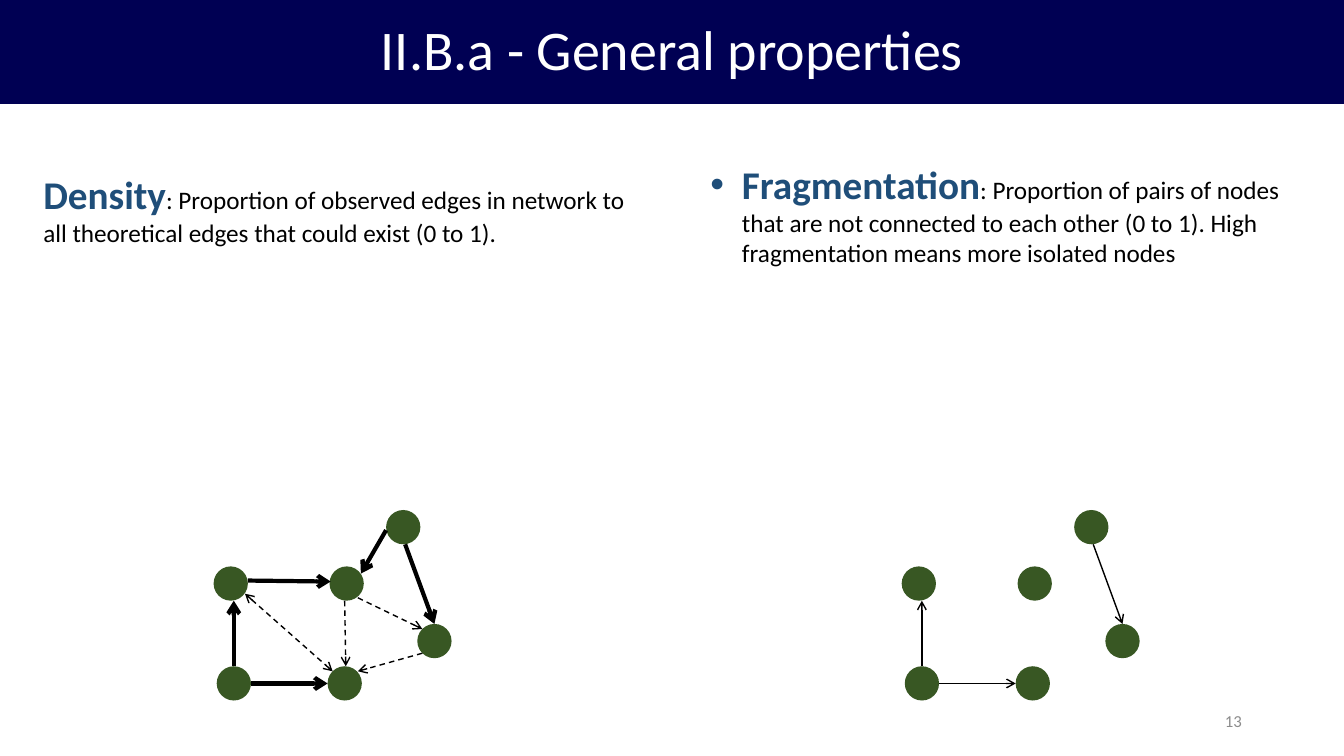
from lxml.etree import SubElement
from pptx import Presentation
from pptx.dml.color import RGBColor
from pptx.enum.dml import MSO_LINE
from pptx.enum.shapes import MSO_CONNECTOR, MSO_SHAPE
from pptx.enum.text import MSO_ANCHOR, MSO_AUTO_SIZE, PP_ALIGN
from pptx.oxml.ns import qn
from pptx.util import Pt

NAVY = RGBColor(0x00, 0x00, 0x53)
BLUE = RGBColor(0x1F, 0x4E, 0x79)
GREEN = RGBColor(0x38, 0x57, 0x23)
GRAY = RGBColor(0x8C, 0x8C, 0x8C)
BLACK = RGBColor(0x00, 0x00, 0x00)
WHITE = RGBColor(0xFF, 0xFF, 0xFF)

THICK, THIN = 3, 1
NODE_SIZE = 24.5
GRAPH_SHIFT = 491.5

# Left and top of each node in the left graph
NODES = [
    (234, 475.9), (235.4, 404.6), (152.6, 404.6),
    (154.8, 475.9), (298.1, 445.7), (275.8, 364.3),
]
# Start and end of each edge in the left graph; the arrow points at the end
EDGES_IN_BOTH = [
    ((167, 475.9), (167, 429.1)),
    ((179.3, 488.2), (234, 488.2)),
    ((289.4, 388.8), (310.3, 445.7)),
]
EDGES_ONLY_DENSE = [
    ((177.1, 414.7), (236.2, 415.4)),
    ((275.8, 378.7), (257.8, 409.7)),
]
MISSING_EDGES = [
    ((246.2, 429.1), (247, 475.9)),
    ((255.6, 427), (301.7, 449.3)),
    ((301.7, 466.6), (255.6, 479.5)),
]
MISSING_MUTUAL_EDGE = ((175, 424.1), (237.6, 479.5))


class SlideBuilder:
    font_name = "Calibri"

    def __init__(self, page):
        self.page = page

    def add_run(self, para, text, size, color, bold=False):
        span = para.add_run()
        span.text = text
        span.font.name = self.font_name
        span.font.size = Pt(size)
        span.font.bold = bold
        span.font.color.rgb = color

    def add_title(self, text, width, height):
        title = self.page.shapes.title
        title.left, title.top = Pt(0), Pt(0)
        title.width, title.height = Pt(width), Pt(height)
        title.fill.solid()
        title.fill.fore_color.rgb = NAVY
        frame = title.text_frame
        frame.auto_size = MSO_AUTO_SIZE.NONE
        frame.vertical_anchor = MSO_ANCHOR.MIDDLE
        para = frame.paragraphs[0]
        para.alignment = PP_ALIGN.CENTER
        para.line_spacing = 0.9
        self.add_run(para, text, 40, WHITE)

    def add_text_box(self, left, top, width, height):
        """Add an empty wrapping box and return its text frame."""
        box = self.page.shapes.add_textbox(Pt(left), Pt(top), Pt(width), Pt(height))
        box.text_frame.word_wrap = True
        return box.text_frame

    def add_definition(self, left, top, height, term, meaning, bullet=False):
        para = self.add_text_box(left, top, 435.6, height).paragraphs[0]
        if bullet:
            properties = para._p.get_or_add_pPr()
            properties.set("marL", str(Pt(22.5)))
            properties.set("indent", str(-Pt(22.5)))
            SubElement(properties, qn("a:buFont"), typeface="Arial")
            SubElement(properties, qn("a:buChar"), char="•")
        self.add_run(para, term, 28, BLUE, bold=True)
        self.add_run(para, meaning, 18, BLACK)

    def add_page_number(self, text):
        frame = self.add_text_box(678.2, 500.4, 216, 28.8)
        frame.vertical_anchor = MSO_ANCHOR.MIDDLE
        para = frame.paragraphs[0]
        para.alignment = PP_ALIGN.RIGHT
        self.add_run(para, text, 12, GRAY)

    def add_node(self, left, top):
        node = self.page.shapes.add_shape(
            MSO_SHAPE.OVAL, Pt(left), Pt(top), Pt(NODE_SIZE), Pt(NODE_SIZE))
        node.shadow.inherit = False
        node.fill.solid()
        node.fill.fore_color.rgb = GREEN
        node.line.fill.background()

    def add_edge(self, edge, shift, weight, dashed=False, mutual=False):
        (start_x, start_y), (end_x, end_y) = edge
        connector = self.page.shapes.add_connector(
            MSO_CONNECTOR.STRAIGHT,
            Pt(start_x + shift), Pt(start_y), Pt(end_x + shift), Pt(end_y))
        connector.line.width = Pt(weight)
        connector.line.color.rgb = BLACK
        if dashed:
            connector.line.dash_style = MSO_LINE.DASH
        outline = connector.line._get_or_add_ln()
        if mutual:
            SubElement(outline, qn("a:headEnd"), type="arrow")
        SubElement(outline, qn("a:tailEnd"), type="arrow")
        SubElement(connector._element.spPr, qn("a:effectLst"))

    def add_graph(self, edges, shift, weight):
        for left, top in NODES:
            self.add_node(left + shift, top)
        for edge in edges:
            self.add_edge(edge, shift, weight)


def main():
    deck = Presentation()
    deck.slide_width, deck.slide_height = Pt(960), Pt(540)
    builder = SlideBuilder(deck.slides.add_slide(deck.slide_layouts[5]))

    builder.add_title("II.B.a - General properties", 960, 74.2)
    builder.add_page_number("13")
    builder.add_definition(
        500.4, 110.9, 85, "Fragmentation",
        ": Proportion of pairs of nodes that are not connected to each other "
        "(0 to 1). High fragmentation means more isolated nodes", bullet=True)
    builder.add_definition(
        23.8, 118.1, 63.4, "Density",
        ": Proportion of observed edges in network to all theoretical edges "
        "that could exist (0 to 1).")

    builder.add_graph(EDGES_IN_BOTH + EDGES_ONLY_DENSE, 0, THICK)
    for edge in MISSING_EDGES:
        builder.add_edge(edge, 0, THIN, dashed=True)
    builder.add_edge(MISSING_MUTUAL_EDGE, 0, THIN, dashed=True, mutual=True)
    builder.add_graph(EDGES_IN_BOTH, GRAPH_SHIFT, THIN)

    deck.save("out.pptx")


if __name__ == "__main__":
    main()
